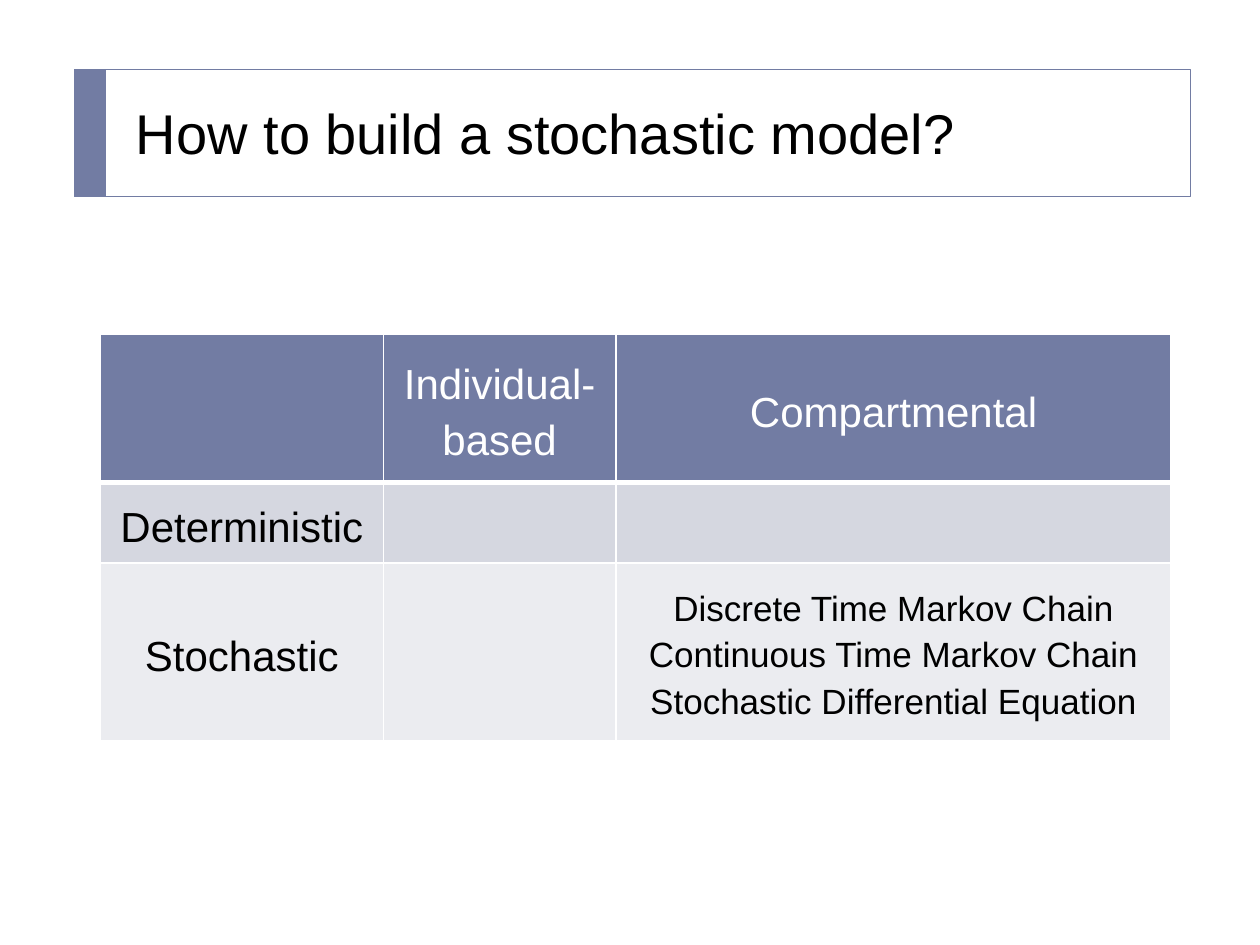
from dataclasses import dataclass

from lxml.etree import SubElement
from pptx import Presentation
from pptx.dml.color import RGBColor
from pptx.enum.shapes import MSO_SHAPE as Shape
from pptx.enum.text import MSO_ANCHOR as Anchor, MSO_AUTO_SIZE as AutoSize, PP_ALIGN as Align
from pptx.oxml.ns import qn
from pptx.util import Pt


@dataclass(frozen=True)
class Theme:
    font: str = "Arial"
    accent: str = "727CA3"
    band_dark: str = "D5D7E0"
    band_light: str = "EBECF0"
    ink: str = "000000"
    paper: str = "FFFFFF"
    title_size: int = 32
    label_size: int = 24
    detail_size: int = 20


def color(value):
    return RGBColor.from_string(value)


def write_text(frame, text, *, font, size, ink, align=Align.LEFT, spacing=1.0):
    """Fill the frame with one paragraph per line of text."""
    for number, line in enumerate(text.split("\n")):
        para = frame.paragraphs[0] if number == 0 else frame.add_paragraph()
        para.alignment = align
        para.line_spacing = spacing
        span = para.add_run()
        span.text = line
        span.font.name = font
        span.font.size = Pt(size)
        span.font.bold = False
        span.font.color.rgb = color(ink)


def set_borders(cell, ink, top=1, bottom=1):
    properties = cell._tc.get_or_add_tcPr()
    for side, width in (("L", 1), ("R", 1), ("T", top), ("B", bottom)):
        line = SubElement(properties, qn(f"a:ln{side}"), w=str(Pt(width)))
        fill = SubElement(line, qn("a:solidFill"))
        SubElement(fill, qn("a:srgbClr"), val=ink)


class SlideBuilder:
    def __init__(self, slide, theme):
        self.slide = slide
        self.theme = theme

    def title(self, text, left, top, width, height):
        box = self.slide.shapes.title
        box.left, box.top, box.width, box.height = map(Pt, (left, top, width, height))
        frame = box.text_frame
        frame.word_wrap = True
        frame.auto_size = AutoSize.NONE
        frame.vertical_anchor = Anchor.MIDDLE
        write_text(frame, text, font=self.theme.font,
                   size=self.theme.title_size, ink=self.theme.ink)

    def title_rectangle(self, left, top, width, height, fill=None, line=None):
        """Add a rectangle behind the title text."""
        box = self.slide.shapes.add_shape(
            Shape.RECTANGLE, *map(Pt, (left, top, width, height)))
        box.shadow.inherit = False
        if fill:
            box.fill.solid()
            box.fill.fore_color.rgb = color(fill)
        else:
            box.fill.background()
        if line:
            box.line.color.rgb = color(line)
            box.line.width = Pt(0.5)
        else:
            box.line.fill.background()
        self.slide.shapes.title._element.addprevious(box._element)

    def table(self, rows, left, top, widths, heights):
        theme = self.theme
        table = self.slide.shapes.add_table(
            len(rows), len(widths), Pt(left), Pt(top),
            Pt(sum(widths)), Pt(sum(heights))).table
        for column, width in zip(table.columns, widths):
            column.width = Pt(width)
        fills = (theme.accent, theme.band_dark, theme.band_light)
        for row_number, (row, height, fill) in enumerate(zip(rows, heights, fills)):
            table.rows[row_number].height = Pt(height)
            for column_number, text in enumerate(row):
                self.cell(table.cell(row_number, column_number), text, fill,
                          header=row_number == 0,
                          below_header=row_number == 1,
                          detail=row_number > 0 and column_number > 0)

    def cell(self, cell, text, fill, header, below_header, detail):
        theme = self.theme
        set_borders(cell, theme.paper, top=3 if below_header else 1,
                    bottom=3 if header else 1)
        cell.fill.solid()
        cell.fill.fore_color.rgb = color(fill)
        cell.vertical_anchor = Anchor.MIDDLE
        cell.margin_left = cell.margin_right = Pt(4.5)
        cell.margin_top = cell.margin_bottom = Pt(3)
        if text:
            write_text(cell.text_frame, text, font=theme.font,
                       size=theme.detail_size if detail else theme.label_size,
                       ink=theme.paper if header else theme.ink,
                       align=Align.CENTER, spacing=1.2)


def main():
    deck = Presentation()
    deck.slide_width, deck.slide_height = Pt(720), Pt(540)
    theme = Theme()
    title_only = deck.slide_layouts[5]
    page = SlideBuilder(deck.slides.add_slide(title_only), theme)

    page.title_rectangle(42.5, 39.5, 638, 73, line=theme.accent)
    page.title_rectangle(42.5, 39.5, 18, 73, fill=theme.accent)
    page.title("How to build a stochastic model?", 70.5, 50.4, 598, 50.4)
    page.table(
        [
            ("", "Individual-based", "Compartmental"),
            ("Deterministic", "", ""),
            ("Stochastic", "", "Discrete Time Markov Chain\n"
             "Continuous Time Markov Chain Stochastic Differential Equation"),
        ],
        left=57.3, top=190.8, widths=(161.8, 132.9, 317.3), heights=(85, 46, 101.5))
    deck.save("out.pptx")


if __name__ == "__main__":
    main()
